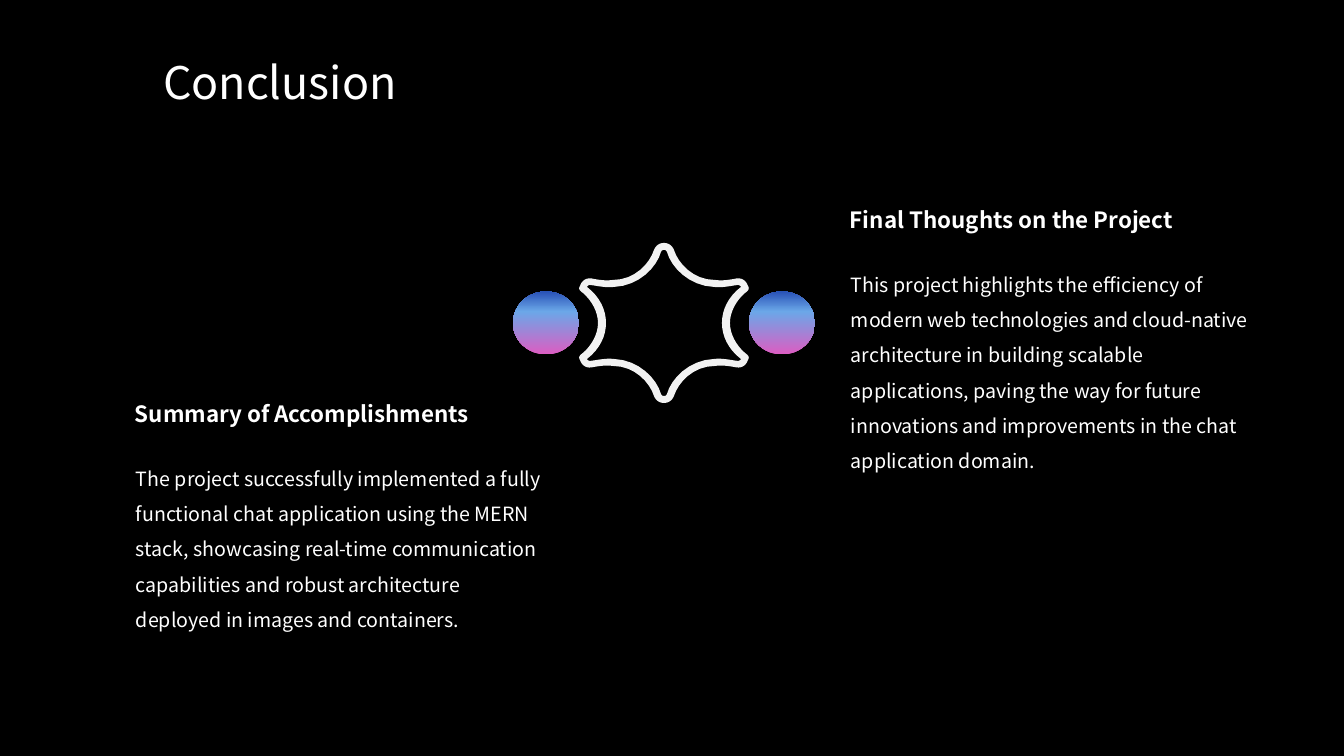
import copy
import pptx
import pptx.util
import pptx.dml.color
import pptx.enum.shapes
import pptx.enum.text
import pptx.oxml.ns

SLIDE = (1344, 756)
TITLE = ("Conclusion", (153, 49, 785, 65))
COLUMNS = [
    ((125, 395), "Summary of Accomplishments",
     "The project successfully implemented a fully functional chat application "
     "using the MERN stack, showcasing real-time communication capabilities and "
     "robust architecture deployed in images and containers."),
    ((840, 201), "Final Thoughts on the Project",
     "This project highlights the efficiency of modern web technologies and "
     "cloud-native architecture in building scalable applications, paving the way "
     "for future innovations and improvements in the chat application domain."),
]
COLUMN_WIDTH, HEADING_HEIGHT, BODY_HEIGHT = 428, 37, 220
BODY_OFFSET = (1, 55)

STAR_CENTRE = (664, 323)
STAR_OUTER = [
    (0, 80), (4, 80), (8, 78), (10, 73), (14, 60), (29, 43), (51, 43),
    (58, 42), (64, 43), (70, 44), (77, 46), (82, 43), (84, 37),
    (86, 34), (84, 32), (81, 30), (72, 22), (66, 11), (66, 0),
]
STAR_INNER = [
    (0, 73), (1, 73), (2, 73), (3, 71), (7, 56), (25, 37), (50, 36),
    (58, 35), (66, 37), (74, 38), (75, 38), (77, 37), (77, 36),
    (64, 26), (58, 13), (58, 0),
]
CURVE_STEPS = 8
DOT_SIZE = (66, 63)
DOT_OFFSET = 118

THEME = {
    "font": "Noto Sans CJK SC",
    "background": "000000",
    "text": "FFFFFF",
    "star": "F2F2F2",
    "dot": [(0, "DC5DC2"), (0.68, "6BA7E8"), (1, "2851B6")],
    "title": {"size": pptx.util.Pt(32), "bold": False},
    "heading": {"size": pptx.util.Pt(16), "bold": True},
    "body": {"size": pptx.util.Pt(14), "bold": False},
}


def px(value):
    return pptx.util.Emu(round(value * 914400 / 100.8))


def rgb(name):
    return pptx.dml.color.RGBColor.from_string(name)


def set_all(target, values):
    for name, value in values.items():
        setattr(target, name, value)


def write(holder, text, role, anchor, spacing=1.0):
    set_all(holder.text_frame, {
        "word_wrap": True, "vertical_anchor": anchor,
        "auto_size": pptx.enum.text.MSO_AUTO_SIZE.NONE,
    })
    paragraph = holder.text_frame.paragraphs[0]
    set_all(paragraph, {
        "alignment": pptx.enum.text.PP_ALIGN.LEFT, "line_spacing": spacing,
    })
    run = paragraph.add_run()
    run.text = text
    set_all(run.font, {"name": THEME["font"], **THEME[role]})
    run.font.color.rgb = rgb(THEME["text"])


def add_column(slide, corner, heading, body):
    left, top = corner
    anchors = pptx.enum.text.MSO_ANCHOR
    parts = [
        (heading, "heading", (0, 0), HEADING_HEIGHT, anchors.MIDDLE, 1.0),
        (body, "body", BODY_OFFSET, BODY_HEIGHT, anchors.TOP, 1.5),
    ]
    for text, role, (dx, dy), height, anchor, spacing in parts:
        box = slide.shapes.add_textbox(
            *map(px, (left + dx, top + dy, COLUMN_WIDTH, height)))
        write(box, text, role, anchor, spacing)


def add_dot(slide, side):
    width, height = DOT_SIZE
    x, y = STAR_CENTRE
    dot = slide.shapes.add_shape(
        pptx.enum.shapes.MSO_SHAPE.OVAL,
        *map(px, (x + side * DOT_OFFSET - width / 2, y - height / 2, width, height)))
    dot.shadow.inherit = False
    dot.line.fill.background()
    dot.fill.gradient()
    dot.fill.gradient_angle = 90
    stop_list = next(dot.element.iter(pptx.oxml.ns.qn("a:gsLst")))
    stop_list.insert(1, copy.deepcopy(stop_list[0]))
    for stop, (position, color) in zip(dot.fill.gradient_stops, THEME["dot"]):
        stop.position = position
        stop.color.rgb = rgb(color)


def bezier(points, t):
    weights = ((1 - t) ** 3, 3 * t * (1 - t) ** 2, 3 * t * t * (1 - t), t ** 3)
    return tuple(sum(w * p[axis] for w, p in zip(weights, points)) for axis in (0, 1))


def star_loop(quarter):
    arc = [quarter[0]]
    for start in range(0, len(quarter) - 1, 3):
        arc += [bezier(quarter[start:start + 4], step / CURVE_STEPS)
                for step in range(1, CURVE_STEPS + 1)]
    right = arc + [(x, -y) for x, y in arc[-2::-1]]
    loop = right + [(-x, y) for x, y in right[-2:0:-1]]
    return [(px(STAR_CENTRE[0] + x), px(STAR_CENTRE[1] - y)) for x, y in loop]


def add_star(slide):
    outer, inner = map(star_loop, (STAR_OUTER, STAR_INNER))
    builder = slide.shapes.build_freeform(*outer[0])
    builder.add_line_segments(outer[1:], close=True)
    builder.move_to(*inner[0])
    builder.add_line_segments(inner[1:], close=True)
    star = builder.convert_to_shape()
    star.shadow.inherit = False
    star.fill.solid()
    star.fill.fore_color.rgb = rgb(THEME["star"])
    star.line.fill.background()


def main():
    deck = pptx.Presentation()
    set_all(deck, dict(zip(("slide_width", "slide_height"), map(px, SLIDE))))
    slide = deck.slides.add_slide(deck.slide_layouts[5])
    slide.background.fill.solid()
    slide.background.fill.fore_color.rgb = rgb(THEME["background"])

    text, frame = TITLE
    title = slide.shapes.title
    set_all(title, dict(zip(("left", "top", "width", "height"), map(px, frame))))
    write(title, text, "title", pptx.enum.text.MSO_ANCHOR.MIDDLE)

    add_dot(slide, -1)
    for column in COLUMNS:
        add_column(slide, *column)
    add_star(slide)
    add_dot(slide, 1)
    deck.save("out.pptx")


if __name__ == "__main__":
    main()
